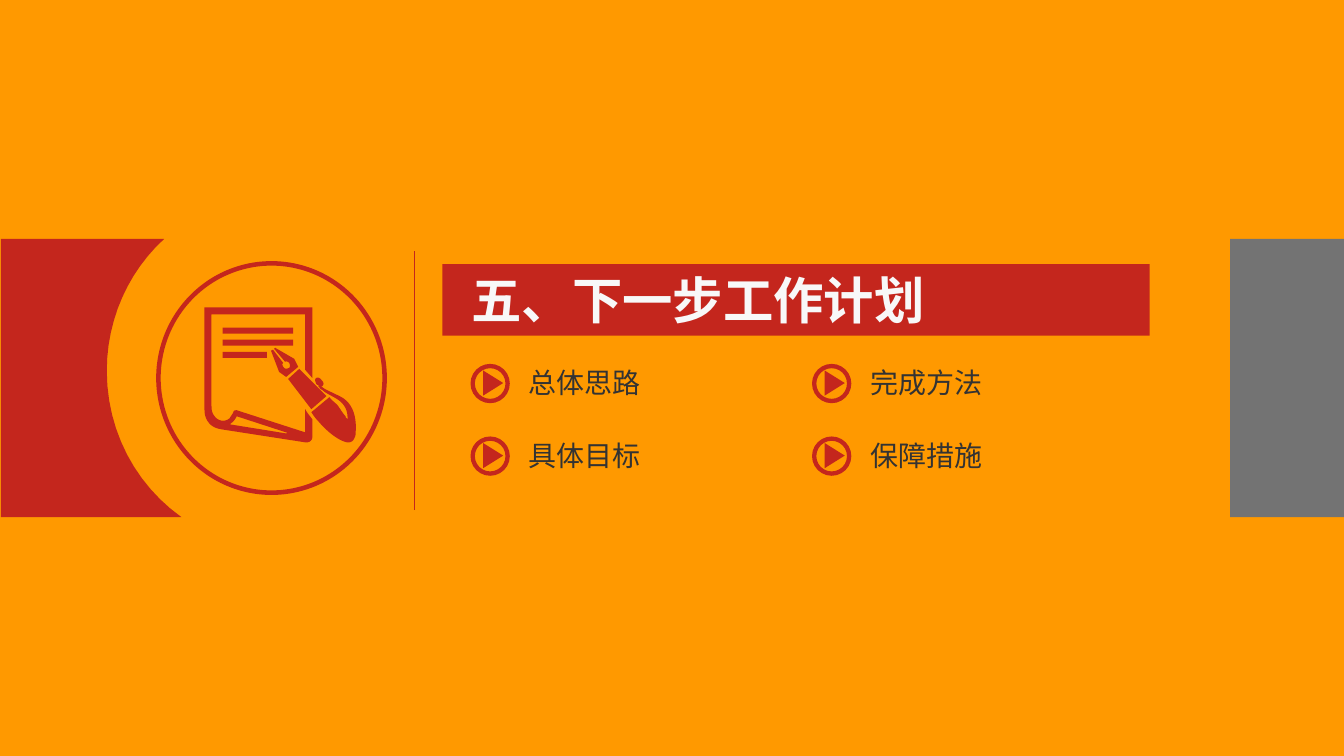
from dataclasses import dataclass

import pptx
import pptx.dml.color
import pptx.enum.shapes
import pptx.enum.text
import pptx.oxml
import pptx.oxml.ns
import pptx.util

# The slide is a grid of 1334 columns by 750 rows, each cell 0.01 inch.
COLUMNS, ROWS = 1334, 750
CELL = pptx.util.Inches(0.01)
CURVE_STEPS = 12
COLORS = {"background": "FF9900", "accent": "C4261D", "panel": "737373",
          "title": "F8F8F8", "topic": "333333"}
SHAPES = pptx.enum.shapes.MSO_SHAPE


@dataclass(frozen=True)
class Area:
    column: float
    row: float
    columns: float
    rows: float

    def emu(self) -> list[int]:
        return [round(v * CELL) for v in (self.column, self.row, self.columns, self.rows)]


@dataclass(frozen=True)
class Style:
    size: float
    font: str
    color: str
    bold: bool = False


@dataclass(frozen=True)
class Topic:
    label: str
    column: int
    row: int


TITLE_STYLE = Style(36, "Noto Sans CJK SC", "title", True)
TOPIC_STYLE = Style(20, "Arial", "topic")
TOPICS = [Topic("总体思路", 0, 0), Topic("完成方法", 1, 0),
          Topic("具体目标", 0, 1), Topic("保障措施", 1, 1)]

# Outlines: M moves, L draws a line, C draws a Bezier curve, all in grid cells.
LEFT_BAND = "M 1 237 L 163 237 C 128 269 106 316 106 368 C 106 428 135 481 180 513 L 1 513"
WRITTEN_LINES = [Area(221, 325 + 12 * i, width, 6) for i, width in enumerate((70, 70, 44))]
PAGE = """
M 203 403 C 203 409 203 414 207 419 C 210 423 214 425 220 426 L 304 439
C 307 439 310 437 310 434 L 310 416 C 308 413 305 410 303 406 L 303 429 L 235 407
C 234 407 233 407 232 408 C 231 411 229 413 228 415 C 223 419 217 418 213 413
C 210 409 210 406 210 402 L 210 312 L 303 312 L 303 367 L 310 375 L 310 305 L 203 305
M 228 421 L 284 430 C 285 430 285 429 284 429 L 235 413 C 233 417 231 419 228 421
"""
PEN = """
M 297 366 L 324 393 L 309 406 L 286 376
M 352 434 C 353 432 353 431 353 429 C 354 417 352 400 337 393 C 333 391 324 387 321 385
C 320 384 319 384 319 383 C 319 383 320 383 320 383 C 322 381 321 379 319 377
C 318 375 315 374 314 375 C 312 376 313 379 314 381 C 315 382 315 382 316 382
C 316 383 316 384 317 384 C 317 385 318 386 320 387 C 323 390 328 392 333 395
C 342 400 345 407 345 415 C 345 416 345 416 344 415 C 343 414 343 414 343 413
C 340 410 338 406 335 402 C 332 399 329 397 327 394 L 309 409 C 311 412 313 415 316 418
C 326 430 338 438 345 439 C 349 439 351 437 352 434
M 292 356 L 273 345 L 272 346 L 283 359 C 284 358 286 359 287 360 C 288 362 288 364 287 365
C 285 366 283 366 282 365 C 280 363 280 361 281 360 L 271 347 L 269 348 L 277 369
L 284 374 L 296 364
"""


def rgb(name: str) -> pptx.dml.color.RGBColor:
    return pptx.dml.color.RGBColor.from_string(COLORS[name])


def paint(shape, color: str) -> None:
    shape.shadow.inherit = False
    shape.fill.solid()
    shape.fill.fore_color.rgb = rgb(color)
    shape.line.fill.background()


def add_figure(slide, kind, area: Area, color: str):
    figure = slide.shapes.add_shape(kind, *area.emu())
    paint(figure, color)
    return figure


def add_ring(slide, area: Area, thickness: float) -> None:
    ring = add_figure(slide, SHAPES.DONUT, area, "accent")
    ring.adjustments[0] = thickness / min(area.columns, area.rows)


def curve_points(corners: list[tuple[float, float]]) -> list[tuple[float, float]]:
    points = []
    for step in range(1, CURVE_STEPS + 1):
        t = step / CURVE_STEPS
        weights = ((1 - t) ** 3, 3 * t * (1 - t) ** 2, 3 * t * t * (1 - t), t ** 3)
        points.append(tuple(sum(w * corner[axis] for w, corner in zip(weights, corners))
                            for axis in (0, 1)))
    return points


def contour_points(contour: str) -> list[tuple[float, float]]:
    points: list[tuple[float, float]] = []
    for segment in contour.replace("L", "|L").replace("C", "|C").split("|"):
        numbers = [float(n) * CELL for n in segment.strip(" \nLC").split()]
        corners = list(zip(numbers[::2], numbers[1::2]))
        points += curve_points([points[-1], *corners]) if segment[0] == "C" else corners
    return points


def add_outline(slide, outline: str, color: str) -> None:
    contours = [contour_points(c) for c in outline.split("M")[1:]]
    builder = slide.shapes.build_freeform(*contours[0][0], scale=1.0)
    for index, points in enumerate(contours):
        if index:
            builder.move_to(*points[0])
        builder.add_line_segments(points[1:], close=True)
    paint(builder.convert_to_shape(), color)


def add_text(slide, area: Area, text: str, style: Style, wrap: bool) -> None:
    frame = slide.shapes.add_textbox(*area.emu()).text_frame
    frame.word_wrap = wrap
    frame.auto_size = pptx.enum.text.MSO_AUTO_SIZE.SHAPE_TO_FIT_TEXT
    run = frame.paragraphs[0].add_run()
    run.text = text
    run.font.size = pptx.util.Pt(style.size)
    run.font.bold = style.bold
    run.font.color.rgb = rgb(style.color)
    run.font.name = style.font
    east_asian = pptx.oxml.parse_xml(
        f'<a:ea {pptx.oxml.ns.nsdecls("a")} typeface="Noto Sans CJK SC"/>')
    run.font._element.append(east_asian)


def add_divider(slide, column: int, top: int, bottom: int) -> None:
    divider = slide.shapes.add_connector(
        pptx.enum.shapes.MSO_CONNECTOR.STRAIGHT,
        column * CELL, bottom * CELL, column * CELL, top * CELL)
    divider.line.color.rgb = rgb("accent")
    divider.line.width = pptx.util.Pt(0.75)
    divider._element.spPr.append(
        pptx.oxml.parse_xml(f'<a:effectLst {pptx.oxml.ns.nsdecls("a")}/>'))


def add_topic(slide, topic: Topic) -> None:
    left, top = 467 + 339 * topic.column, 361 + 72 * topic.row
    add_ring(slide, Area(left, top, 39, 39), 4.3)
    arrow = add_figure(slide, SHAPES.ISOSCELES_TRIANGLE,
                       Area(left + 10, top + 9, 25, 20), "accent")
    arrow.rotation = 90
    add_text(slide, Area(left + 48, top - 3, 132, 44), topic.label, TOPIC_STYLE, False)


def main() -> None:
    deck = pptx.Presentation()
    deck.slide_width, deck.slide_height = COLUMNS * CELL, ROWS * CELL
    slide = deck.slides.add_slide(deck.slide_layouts[6])
    slide.background.fill.solid()
    slide.background.fill.fore_color.rgb = rgb("background")

    # Title bar
    add_figure(slide, SHAPES.RECTANGLE, Area(439, 262, 702, 71), "accent")
    add_text(slide, Area(458, 262, 591, 71), "五、下一步工作计划", TITLE_STYLE, True)

    # Side bands and divider
    add_divider(slide, 411, 249, 506)
    add_outline(slide, LEFT_BAND, "accent")
    add_figure(slide, SHAPES.RECTANGLE, Area(1221, 237, 113, 276), "panel")

    # Topics
    for topic in TOPICS:
        add_topic(slide, topic)

    # Page and pen inside a ring
    add_ring(slide, Area(155, 259, 229, 232), 4.5)
    for written_line in WRITTEN_LINES:
        add_figure(slide, SHAPES.RECTANGLE, written_line, "accent")
    for outline in (PAGE, PEN):
        add_outline(slide, outline, "accent")

    deck.save("out.pptx")


if __name__ == "__main__":
    main()
